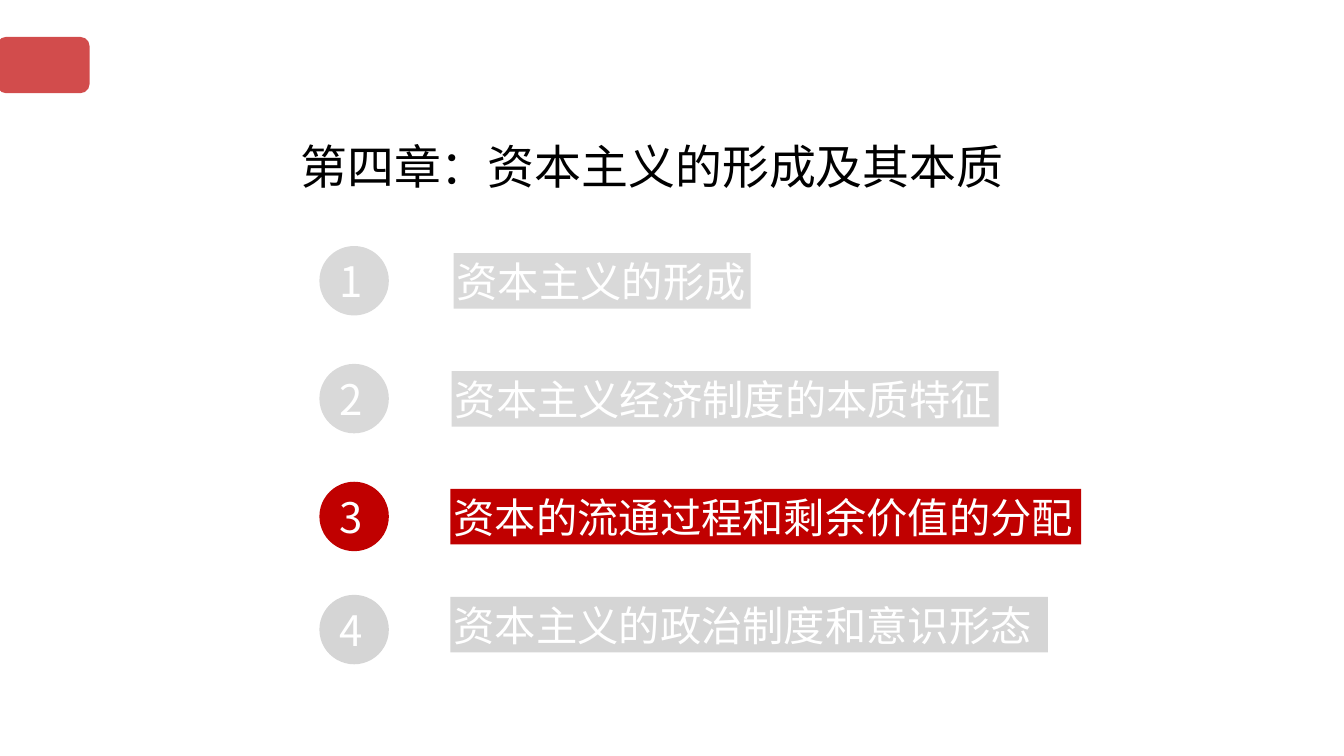
from dataclasses import dataclass

from lxml import etree
from pptx import Presentation
from pptx.dml.color import RGBColor
from pptx.enum.shapes import MSO_SHAPE
from pptx.enum.text import MSO_ANCHOR, MSO_AUTO_SIZE, PP_ALIGN
from pptx.oxml.ns import qn
from pptx.util import Cm, Pt

RECT = MSO_SHAPE.RECTANGLE
ROUND = MSO_SHAPE.ROUNDED_RECTANGLE
OVAL = MSO_SHAPE.OVAL
MIDDLE = MSO_ANCHOR.MIDDLE
LEFT = PP_ALIGN.LEFT
FIXED = MSO_AUTO_SIZE.NONE


@dataclass(frozen=True)
class Theme:
    font: str = "Noto Sans CJK SC"
    red: str = "C00000"
    gray: str = "D9D9D9"
    dim: str = "D5D5D5"
    white: str = "FFFFFF"
    black: str = "000000"
    title: float = 33.5
    label: float = 29.5
    digit: float = 30


THEME = Theme()
DISC = 1.75
BAR = 1.4
ROWS = [
    ("资本主义的形成", 6.2, 6.38, 11.43, 7.49, THEME.gray),
    ("资本主义经济制度的本质特征", 9.17, 9.35, 11.38, 13.79, THEME.gray),
    ("资本的流通过程和剩余价值的分配", 12.14, 12.32, 11.35, 15.9, THEME.red),
    ("资本主义的政治制度和意识形态", 14.99, 15.04, 11.35, 15.06, THEME.dim),
]


def add_box(slide, kind, left, top, width, height, color):
    box = slide.shapes.add_shape(kind, Cm(left), Cm(top), Cm(width), Cm(height))
    box.shadow.inherit = False
    box.fill.solid()
    box.fill.fore_color.rgb = RGBColor.from_string(color)
    box.line.fill.background()
    return box


def set_text(shape, text, size, color, left=0.08, edge=0.08):
    frame = shape.text_frame
    frame.text = text
    frame.word_wrap = True
    frame.auto_size = FIXED
    frame.vertical_anchor = MIDDLE
    frame.margin_left = Cm(left)
    frame.margin_right = frame.margin_top = frame.margin_bottom = Cm(edge)
    para = frame.paragraphs[0]
    para.alignment = LEFT
    font = para.font
    font.name = THEME.font
    font.size = Pt(size)
    font.color.rgb = RGBColor.from_string(color)
    props = para._p.pPr.find(qn("a:defRPr"))
    etree.SubElement(props, qn("a:ea"), typeface=THEME.font)
    return para


def add_badge(slide):
    badge = add_box(slide, ROUND, -0.08, 0.93, 2.34, 1.42, THEME.red)
    color = badge._element.spPr.find(qn("a:solidFill"))[0]
    etree.SubElement(color, qn("a:alpha"), val="70000")


def add_title(slide, text):
    title = slide.shapes.title
    title.left, title.top = Cm(7.49), Cm(2.67)
    title.width, title.height = Cm(18.03), Cm(2.29)
    para = set_text(title, text, THEME.title, THEME.black)
    para.line_spacing = 1.5


def add_row(slide, num, text, top, bar_top, left, width, color):
    disc = add_box(slide, OVAL, 8.05, top, DISC, DISC, color)
    set_text(disc, str(num), THEME.digit, THEME.white, left=0.24, edge=0)
    bar = add_box(slide, RECT, left, bar_top, width, BAR, color)
    set_text(bar, text, THEME.label, THEME.white)


def main():
    deck = Presentation()
    deck.slide_width, deck.slide_height = Cm(33.87), Cm(19.05)
    slide = deck.slides.add_slide(deck.slide_layouts[5])
    add_badge(slide)
    add_title(slide, "第四章：资本主义的形成及其本质")
    for num, row in enumerate(ROWS, 1):
        add_row(slide, num, *row)
    deck.save("out.pptx")


if __name__ == "__main__":
    main()
